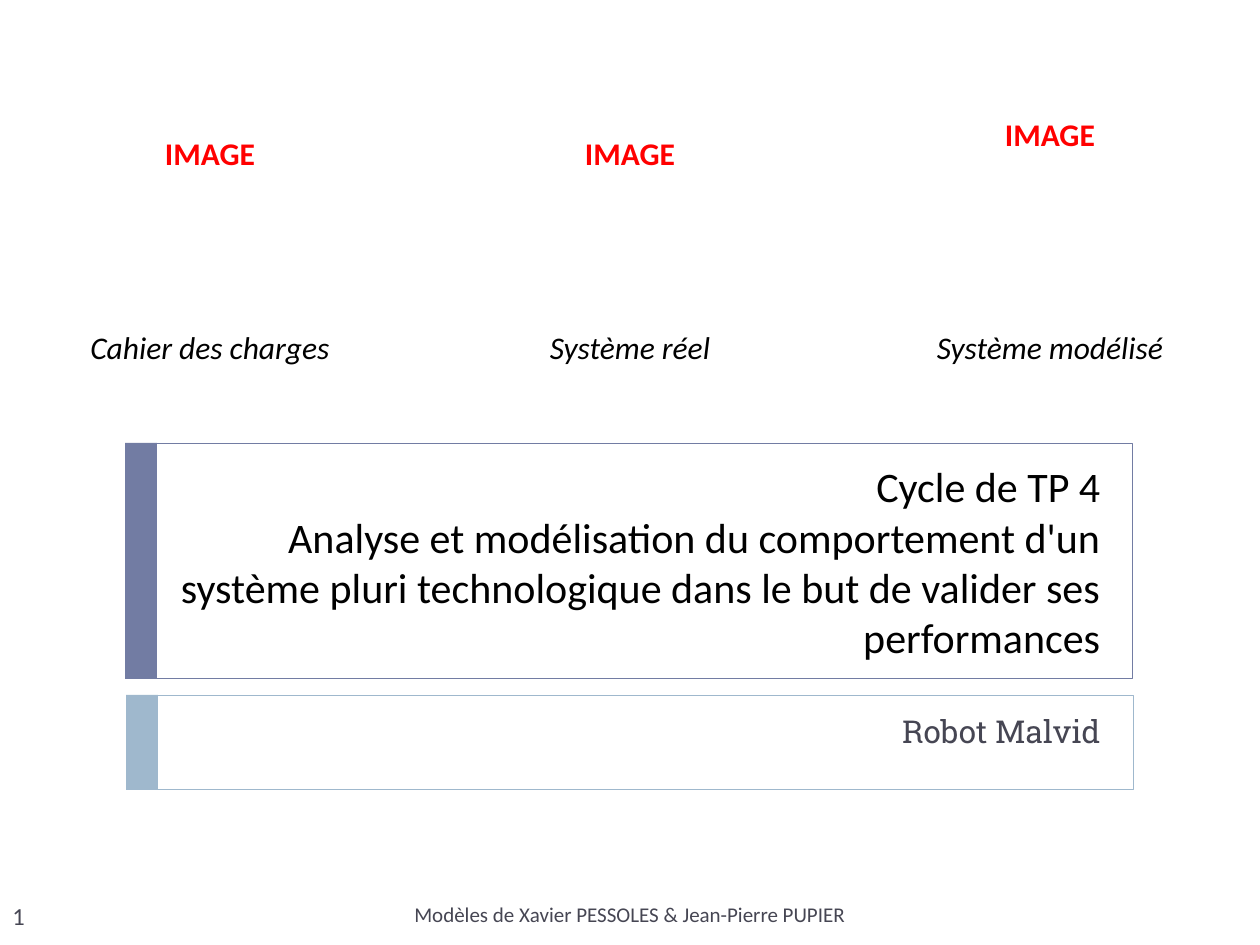
import copy

import pptx
import pptx.dml.color
import pptx.enum.shapes
import pptx.enum.text
import pptx.oxml.ns
import pptx.util

PX = 914400 / 126
ALIGN = pptx.enum.text.PP_ALIGN
ANCHOR = pptx.enum.text.MSO_ANCHOR
COLOURS = {
    "title bar": "727CA3",
    "subtitle bar": "9FB8CD",
    "black": "000000",
    "grey": "464653",
    "red": "FF0000",
}


def px(length):
    return pptx.util.Emu(round(length * PX))


def colour(name):
    return pptx.dml.color.RGBColor.from_string(COLOURS[name])


def place(shape, left, top, width, height):
    shape.left, shape.top = px(left), px(top)
    shape.width, shape.height = px(width), px(height)


def write(frame, text, size=18, font="Calibri", ink="black", bold=False,
          italic=False, align=ALIGN.LEFT):
    """Fill the first paragraph; a newline becomes a line break."""
    para = frame.paragraphs[0]
    para.text = text
    para.alignment = align
    for span in para.runs:
        span.font.size = pptx.util.Pt(size)
        span.font.name = font
        span.font.bold = bold
        span.font.italic = italic
        span.font.color.rgb = colour(ink)
    # Line breaks take the size of the text around them
    for line_break in para._p.findall(pptx.oxml.ns.qn("a:br")):
        line_break.insert(0, copy.deepcopy(para.runs[0].font._rPr))
    return para


def add_rectangle(page, left, top, width, height):
    box = page.shapes.add_shape(
        pptx.enum.shapes.MSO_SHAPE.RECTANGLE,
        px(left), px(top), px(width), px(height))
    box.shadow.inherit = False
    return box


def add_frame(page, left, top, width, height, ink):
    """Thin outline with a solid strip along its left edge."""
    outline = add_rectangle(page, left, top, width, height)
    outline.fill.background()
    outline.line.color.rgb = colour(ink)
    outline.line.width = pptx.util.Pt(0.5)
    strip = add_rectangle(page, left, top, 32, height)
    strip.fill.solid()
    strip.fill.fore_color.rgb = colour(ink)
    strip.line.fill.background()


def fill_placeholder(holder, bounds, text, anchor, **style):
    place(holder, *bounds)
    frame = holder.text_frame
    frame.auto_size = pptx.enum.text.MSO_AUTO_SIZE.NONE
    frame.word_wrap = True
    frame.vertical_anchor = anchor
    return write(frame, text, align=ALIGN.RIGHT, **style)


def add_label(page, left, top, width, height, text, **style):
    box = page.shapes.add_textbox(px(left), px(top), px(width), px(height))
    box.text_frame.word_wrap = True
    write(box.text_frame, text, ink="grey", **style)


def add_system_table(page, captions):
    table = page.shapes.add_table(
        2, len(captions), 0, 0, px(1260), px(374)).table
    table.first_row = table.horz_banding = False
    for row, height in zip(table.rows, (310, 64)):
        row.height = px(height)
    for column, caption in enumerate(captions):
        table.columns[column].width = px(1260 / len(captions))
        image, label = table.cell(0, column), table.cell(1, column)
        image.vertical_anchor = ANCHOR.MIDDLE
        label.vertical_anchor = ANCHOR.BOTTOM
        write(image.text_frame, "IMAGE", ink="red", bold=True,
              align=ALIGN.CENTER)
        write(label.text_frame, caption, italic=True, align=ALIGN.CENTER)
        for cell in (image, label):
            cell.fill.background()
    # The last image mark sits a little higher
    table.cell(0, len(captions) - 1).margin_bottom = px(44)


def main():
    deck = pptx.Presentation()
    deck.slide_width, deck.slide_height = px(1260), px(945)
    page = deck.slides.add_slide(deck.slide_layouts[0])

    # Framed title and subtitle
    add_frame(page, 125, 443, 1008, 236, "title bar")
    add_frame(page, 126, 695, 1008, 95, "subtitle bar")
    fill_placeholder(
        page.shapes.title, (168, 452, 945, 219),
        "Cycle de TP 4\nAnalyse et modélisation du comportement d'un système "
        "pluri technologique dans le but de valider ses performances",
        ANCHOR.MIDDLE, size=24)
    subtitle = fill_placeholder(
        page.placeholders[1], (168, 706, 945, 73), "Robot Malvid",
        ANCHOR.TOP, font="Roboto Slab", ink="grey")
    subtitle.space_before = pptx.util.Pt(6)

    # Page number and credits
    add_label(page, 0, 895, 168, 50, "1", size=14)
    add_label(page, 0, 895, 1260, 50,
              "Modèles de Xavier PESSOLES & Jean-Pierre PUPIER",
              size=12, align=ALIGN.CENTER)

    # Three views of the system
    add_system_table(
        page, ["Cahier des charges", "Système réel", "Système modélisé"])

    deck.save("out.pptx")


if __name__ == "__main__":
    main()
